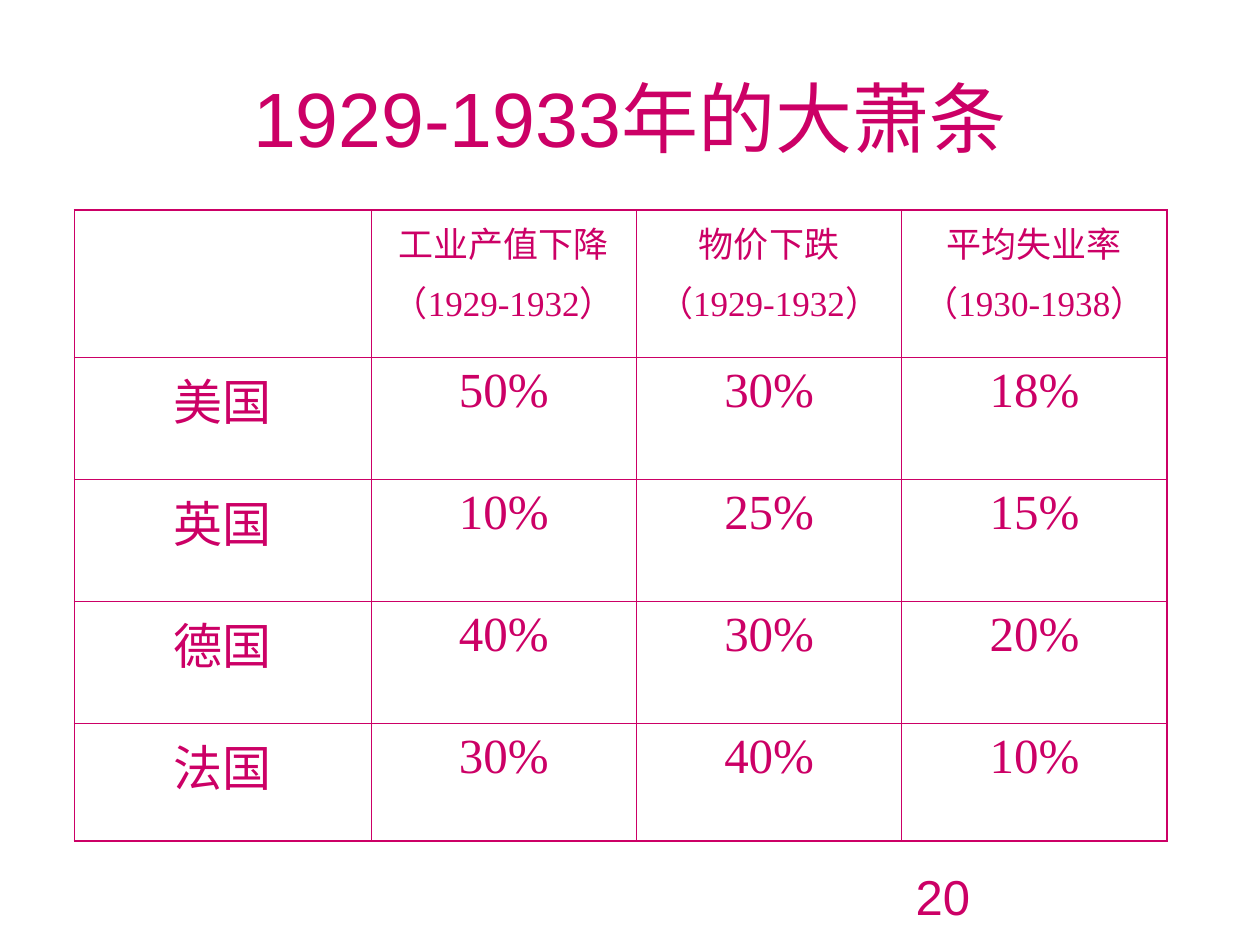
import pptx
import pptx.util
import pptx.dml.color
import pptx.enum.text
import pptx.oxml

Cm, Pt = pptx.util.Cm, pptx.util.Pt
ALIGN = pptx.enum.text.PP_ALIGN
MIDDLE = pptx.enum.text.MSO_ANCHOR.MIDDLE
HUES = {"pink": "CC0066"}
NS = "http://schemas.openxmlformats.org/drawingml/2006/main"

THIN, THICK = 0.45, 1.08
COLS = [5.98] + [5.35] * 3
ROWS = [2.97] + [2.46] * 3 + [2.36]
DATA = [
    ["", "工业产值下降\n（1929-1932）", "物价下跌\n（1929-1932）", "平均失业率\n（1930-1938）"],
    ["美国", "50%", "30%", "18%"],
    ["英国", "10%", "25%", "15%"],
    ["德国", "40%", "30%", "20%"],
    ["法国", "30%", "40%", "10%"],
]


def write(frame, text, size, face, align, gap=0):
    """Fill a text frame, one paragraph a line, with a gap between lines."""
    frame.text = text
    for i, par in enumerate(frame.paragraphs):
        par.alignment = align
        par.space_before = Pt(gap if i else 0)
        form = {"size": Pt(size), "name": face, "bold": False}
        for key, value in form.items():
            setattr(par.font, key, value)
        par.font.color.rgb = pptx.dml.color.RGBColor.from_string(HUES["pink"])


def place(shape, left, top, width, height):
    box = {"left": left, "top": top, "width": width, "height": height}
    for key, value in box.items():
        setattr(shape, key, Cm(value))


def border(cell, widths):
    """Draw the cell sides, which must come before the fill."""
    cell.fill.background()
    props = cell._tc.get_or_add_tcPr()
    for i, (side, width) in enumerate(widths.items()):
        line = pptx.oxml.parse_xml(
            f'<a:ln{side} xmlns:a="{NS}" w="{Pt(width)}"><a:solidFill>'
            f'<a:srgbClr val="{HUES["pink"]}"/></a:solidFill></a:ln{side}>')
        props.insert(i, line)


def add_title(slide):
    title = slide.shapes.title
    place(title, 1.27, 0.76, 22.86, 3.18)
    title.text_frame.vertical_anchor = MIDDLE
    write(title.text_frame, "1929-1933年的大萧条", 44, "Arial", ALIGN.CENTER)


def add_grid(slide):
    frame = slide.shapes.add_table(len(ROWS), len(COLS), Cm(1.5), Cm(4.24),
                                   Cm(sum(COLS)), Cm(sum(ROWS)))
    table = frame.table
    table.first_row = table.horz_banding = False
    for col, width in zip(table.columns, COLS):
        col.width = Cm(width)
    for row, height in zip(table.rows, ROWS):
        row.height = Cm(height)
    for r, line in enumerate(DATA):
        for c, text in enumerate(line):
            cell = table.cell(r, c)
            size, gap = (28, 7) if r else (20, 5)
            write(cell.text_frame, text, size, "Times New Roman", ALIGN.CENTER, gap)
            # Outer sides are thick, inner ones thin
            edges = {"L": c == 0, "R": c == len(COLS) - 1,
                     "T": r == 0, "B": r == len(ROWS) - 1}
            border(cell, {k: THICK if v else THIN for k, v in edges.items()})


def add_page(slide):
    box = slide.shapes.add_textbox(Cm(18.21), Cm(17.35), Cm(5.92), Cm(1.32))
    box.text_frame.word_wrap = True
    write(box.text_frame, "20", 28, "Arial", ALIGN.LEFT)


def main():
    deck = pptx.Presentation()
    deck.slide_width, deck.slide_height = Cm(25.4), Cm(19.05)
    slide = deck.slides.add_slide(deck.slide_layouts[5])
    add_page(slide)
    add_title(slide)
    add_grid(slide)
    deck.save("out.pptx")


if __name__ == "__main__":
    main()
